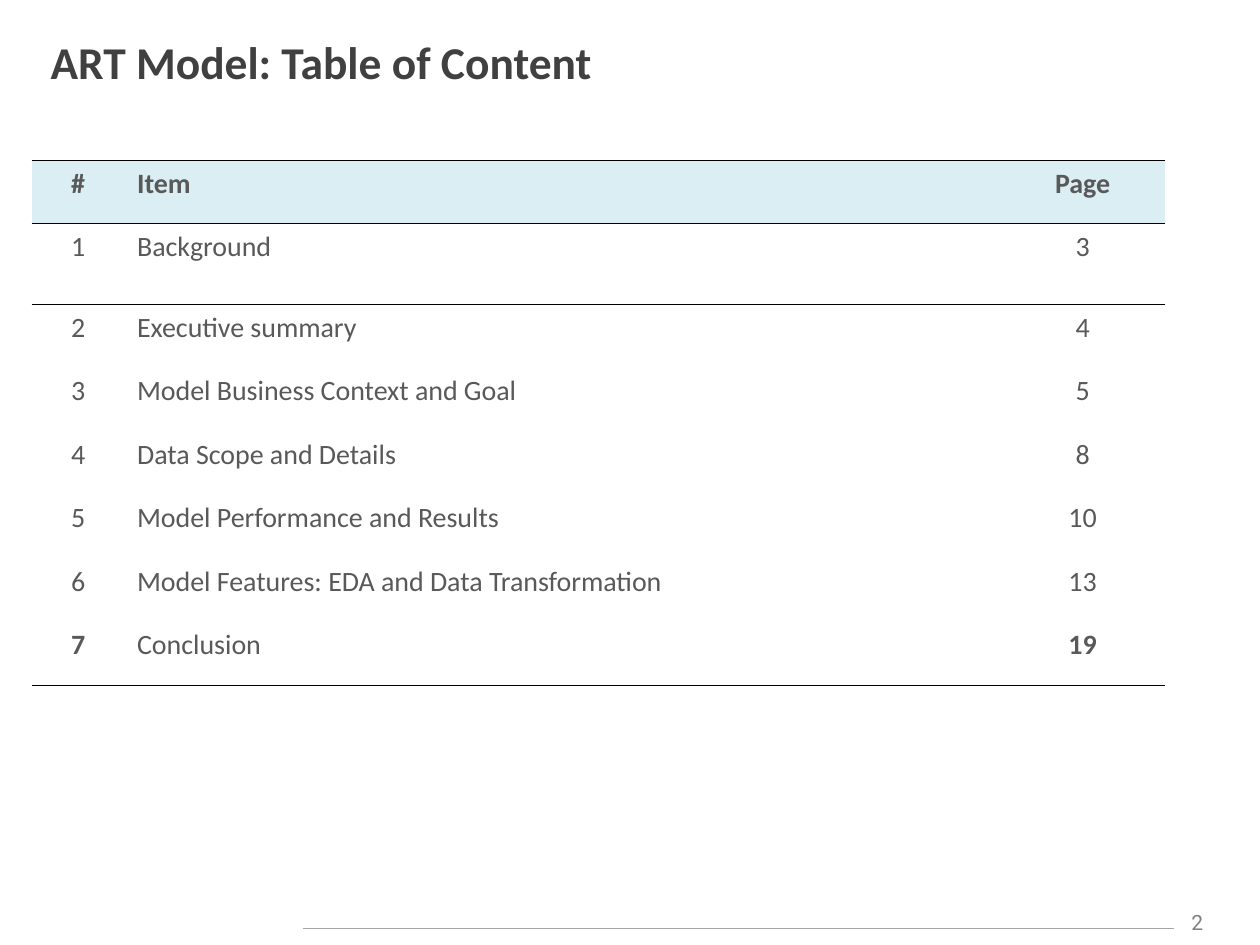
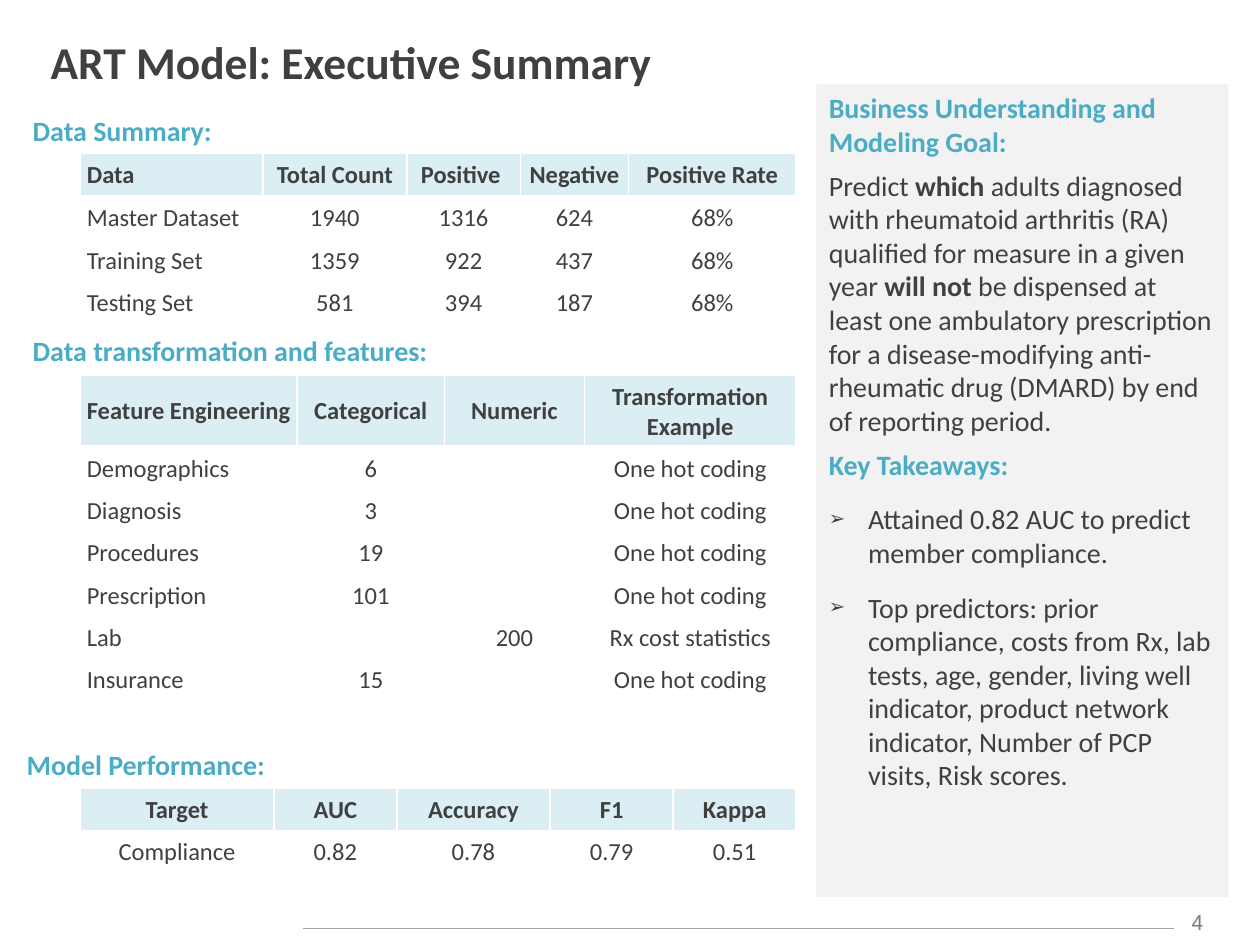
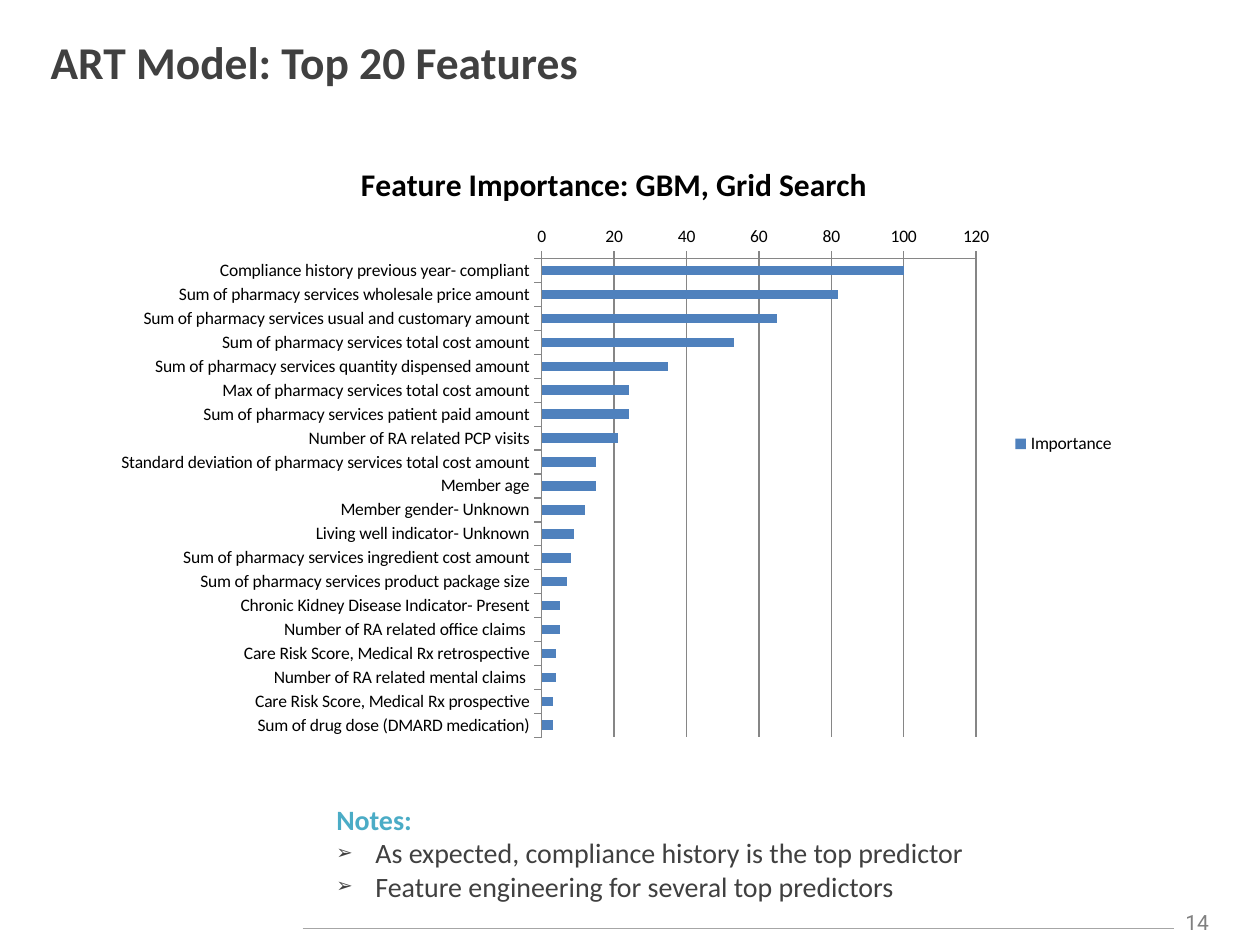
from dataclasses import dataclass

from lxml import etree
from pptx import Presentation
from pptx.chart.data import CategoryChartData
from pptx.dml.color import RGBColor
from pptx.enum.chart import XL_CHART_TYPE as ChartType, XL_LEGEND_POSITION as LegendPos
from pptx.enum.chart import XL_TICK_MARK as Tick
from pptx.enum.shapes import MSO_CONNECTOR as Connector, MSO_SHAPE as Shape
from pptx.enum.text import MSO_ANCHOR as Anchor, PP_ALIGN as Align
from pptx.oxml.ns import qn
from pptx.util import Cm, Pt


@dataclass(frozen=True)
class Theme:
    font: str = "Calibri"
    number_font: str = "Roboto"
    ink: str = "404040"
    soft_ink: str = "595959"
    accent: str = "4BACC6"
    header: str = "DBEEF4"
    panel: str = "F2F2F2"
    white: str = "FFFFFF"
    black: str = "000000"
    rule: str = "A6A6A6"
    page_number: str = "808080"
    bar: str = "4F81BD"
    axis: str = "868686"
    title_size: int = 26
    chart_title_size: int = 18
    body_size: int = 16
    cell_size: int = 14
    number_size: int = 12
    label_size: int = 10


@dataclass
class Para:
    runs: list  # (text, bold) pairs
    color: str
    before: int = 0
    bullet: bool = False


NO_STYLE = "{2D5ABB26-0587-4C30-8999-92F81FD0307C}"


def rgb(value):
    return RGBColor.from_string(value)


class Deck:
    def __init__(self, theme):
        self.t = theme
        self.prs = Presentation()
        self.prs.slide_width, self.prs.slide_height = Cm(25.4), Cm(19.05)
        self.s = None

    # Shared frame: title, footer line, page number
    def slide(self, title, number):
        t = self.t
        self.s = self.prs.slides.add_slide(self.prs.slide_layouts[6])
        self.line(6.1, 18.72, 23.67, 18.72)
        tf = self.box(23.5, 18.21, 1.27, 0.76)
        self.run(tf.paragraphs[0], str(number), t.number_size, t.page_number, font=t.number_font)
        tf.paragraphs[0].alignment = Align.CENTER
        tf = self.box(0.77, 0.35, 22.86, 1.78)
        tf.vertical_anchor = Anchor.MIDDLE
        self.run(tf.paragraphs[0], title, t.title_size, t.ink, bold=True)

    def line(self, x1, y1, x2, y2):
        ln = self.s.shapes.add_connector(Connector.STRAIGHT, Cm(x1), Cm(y1), Cm(x2), Cm(y2))
        ln.line.color.rgb = rgb(self.t.rule)
        ln.line.width = Pt(0.75)
        etree.SubElement(ln._element.spPr, qn("a:effectLst"))

    # Text
    def run(self, p, text, size, color, bold=False, font=None):
        r = p.add_run()
        r.text = text
        r.font.size, r.font.bold = Pt(size), bold
        r.font.name = font or self.t.font
        r.font.color.rgb = rgb(color)

    def box(self, x, y, w, h):
        tf = self.s.shapes.add_textbox(Cm(x), Cm(y), Cm(w), Cm(h)).text_frame
        tf.word_wrap = True
        return tf

    def heading(self, text, y, inset=0.25):
        tf = self.box(0.41, y, 16.05, 0.91)
        tf.margin_left = Cm(inset)
        self.run(tf.paragraphs[0], text, self.t.body_size, self.t.accent, bold=True)

    def bullet(self, p):
        pPr = p._p.get_or_add_pPr()
        pPr.set("marL", str(Cm(0.79)))
        pPr.set("indent", str(-Cm(0.79)))
        etree.SubElement(pPr, qn("a:buSzPct"), val="70000")
        etree.SubElement(pPr, qn("a:buFont"), typeface="Arial")
        etree.SubElement(pPr, qn("a:buChar"), char="➢")

    def panel(self, x, y, w, h, fill, paras):
        sp = self.s.shapes.add_shape(Shape.RECTANGLE, Cm(x), Cm(y), Cm(w), Cm(h))
        sp.shadow.inherit = False
        sp.fill.solid()
        sp.fill.fore_color.rgb = rgb(fill)
        sp.line.fill.background()
        tf = sp.text_frame
        tf.word_wrap, tf.vertical_anchor = True, Anchor.TOP
        for i, para in enumerate(paras):
            p = tf.add_paragraph() if i else tf.paragraphs[0]
            p.alignment, p.space_before = Align.LEFT, Pt(para.before)
            if para.bullet:
                self.bullet(p)
            for text, bold in para.runs:
                self.run(p, text, self.t.body_size, para.color, bold)

    # Tables
    def border(self, cell, sides):
        tcPr = cell._tc.get_or_add_tcPr()
        for side in "LRTB":
            if side in sides:
                color, width = sides[side]
                ln = etree.SubElement(tcPr, qn(f"a:ln{side}"), w=str(Pt(width)))
                fill = etree.SubElement(ln, qn("a:solidFill"))
                etree.SubElement(fill, qn("a:srgbClr"), val=color)

    def table(self, x, y, widths, heights, rows, borders, left_col=0, size=None,
              color=None, inset=0.13, anchor=Anchor.MIDDLE, bold_cells=()):
        size, color = size or self.t.cell_size, color or self.t.ink
        frame = self.s.shapes.add_table(len(rows), len(widths), Cm(x), Cm(y),
                                        Cm(sum(widths)), Cm(sum(heights)))
        table = frame.table
        table.first_row = table.horz_banding = False
        table._tbl.tblPr.find(qn("a:tableStyleId")).text = NO_STYLE
        for col, width in zip(table.columns, widths):
            col.width = Cm(width)
        for i, (height, values) in enumerate(zip(heights, rows)):
            table.rows[i].height = Cm(height)
            for j, value in enumerate(values):
                cell = table.cell(i, j)
                self.border(cell, borders(i))
                cell.fill.solid()
                cell.fill.fore_color.rgb = rgb(self.t.white if i else self.t.header)
                cell.vertical_anchor = anchor
                if inset is not None:
                    cell.margin_left = cell.margin_right = Cm(inset)
                    cell.margin_top = cell.margin_bottom = Cm(inset)
                p = cell.text_frame.paragraphs[0]
                p.alignment = Align.LEFT if j == left_col else Align.CENTER
                if value:
                    self.run(p, value, size, color, bold=i == 0 or (i, j) in bold_cells)
                else:
                    etree.SubElement(p._p, qn("a:endParaRPr"), sz=str(size * 100))

    # Chart
    def bar_chart(self, x, y, w, h, title, name, items):
        t = self.t
        data = CategoryChartData()
        data.categories = [label for label, _ in items]
        data.add_series(name, [value for _, value in items])
        chart = self.s.shapes.add_chart(ChartType.BAR_CLUSTERED, Cm(x), Cm(y),
                                        Cm(w), Cm(h), data).chart
        chart.font.name, chart.font.size = t.font, Pt(t.label_size)
        chart.font.color.rgb = rgb(t.black)
        chart.has_title = True
        self.run(chart.chart_title.text_frame.paragraphs[0], title,
                 t.chart_title_size, t.black, bold=True)
        chart.has_legend = True
        chart.legend.position = LegendPos.RIGHT
        chart.legend.include_in_layout = False
        plot = chart.plots[0]
        plot.vary_by_categories, plot.gap_width = False, 150
        fill = plot.series[0].format.fill
        fill.solid()
        fill.fore_color.rgb = rgb(t.bar)
        chart.category_axis.reverse_order = True
        chart.value_axis.has_major_gridlines = True
        for axis in (chart.category_axis, chart.value_axis):
            axis.major_tick_mark, axis.minor_tick_mark = Tick.OUTSIDE, Tick.NONE
            axis.format.line.color.rgb = rgb(t.axis)
        chart.value_axis.major_gridlines.format.line.color.rgb = rgb(t.axis)


CONTENTS = [
    ["#", "Item", "Page"],
    ["1", "Background", "3"],
    ["2", "Executive summary", "4"],
    ["3", "Model Business Context and Goal", "5"],
    ["4", "Data Scope and Details", "8"],
    ["5", "Model Performance and Results", "10"],
    ["6", "Model Features: EDA and Data Transformation", "13"],
    ["7", "Conclusion", "19"],
]
DATA_SUMMARY = [
    ["Data", "Total Count", "Positive ", "Negative", "Positive Rate"],
    ["Master Dataset", "1940", "1316", "624", "68%"],
    ["Training Set", "1359", "922", "437", "68%"],
    ["Testing Set", "581", "394", "187", "68%"],
]
FEATURES = [
    ["Feature Engineering", "Categorical", "Numeric", "Transformation Example"],
    ["Demographics", "6", "", "One hot coding"],
    ["Diagnosis", "3", "", "One hot coding"],
    ["Procedures", "19", "", "One hot coding"],
    ["Prescription", "101", "", "One hot coding"],
    ["Lab", "", "200", "Rx cost statistics"],
    ["Insurance", "15", "", "One hot coding"],
    ["", "", "", ""],
]
PERFORMANCE = [
    ["Target", "AUC", "Accuracy", "F1", "Kappa"],
    ["Compliance", "0.82", "0.78", "0.79", "0.51"],
]
IMPORTANCE = [
    ("Compliance history previous year- compliant", 100),
    ("Sum of pharmacy services wholesale price amount", 82),
    ("Sum of pharmacy services usual and customary amount", 65),
    ("Sum of pharmacy services total cost amount", 53),
    ("Sum of pharmacy services quantity dispensed amount", 35),
    ("Max of pharmacy services total cost amount", 24),
    ("Sum of pharmacy services patient paid amount", 24),
    ("Number of RA related PCP visits", 21),
    ("Standard deviation of pharmacy services total cost amount", 15),
    ("Member age", 15),
    ("Member gender- Unknown", 12),
    ("Living well indicator- Unknown", 9),
    ("Sum of pharmacy services ingredient cost amount", 8),
    ("Sum of pharmacy services product package size", 7),
    ("Chronic Kidney Disease Indicator- Present", 5),
    ("Number of RA related office claims ", 5),
    ("Care Risk Score, Medical Rx retrospective", 4),
    ("Number of RA related mental claims ", 4),
    ("Care Risk Score, Medical Rx prospective", 3),
    ("Sum of drug dose (DMARD medication)", 3),
]


def contents_slide(deck):
    t = deck.t
    last = len(CONTENTS) - 1
    edge = (t.black, 0.5)

    def borders(row):
        sides = {"T": edge} if row < 2 else {}
        return {**sides, "B": edge} if row in (0, 1, last) else sides

    deck.slide("ART Model: Table of Content", 2)
    deck.table(0.64, 3.23, [1.87, 17.65, 3.33], [1.27, 1.63] + [1.28] * 6, CONTENTS, borders,
               left_col=1, size=t.body_size, color=t.soft_ink, inset=None,
               anchor=Anchor.TOP, bold_cells={(last, 0), (last, 2)})


def summary_slide(deck):
    t = deck.t

    def thin(row):
        return dict.fromkeys("LRTB", (t.white, 1))

    def thick_header(row):
        return {**thin(row), "B": (t.white, 1 if row else 3)}

    deck.slide("ART Model: Executive Summary", 4)

    # Goal and takeaways
    deck.panel(16.46, 1.7, 8.31, 16.38, t.panel, [
        Para([("Business Understanding and Modeling Goal:", True)], t.accent, 6),
        Para([("Predict ", False), ("which ", True),
              ("adults diagnosed with rheumatoid arthritis (RA) qualified for measure "
               "in a given year ", False),
              ("will not ", True),
              ("be dispensed at least one ambulatory prescription for a disease-modifying "
               "anti-rheumatic drug (DMARD) by end of reporting period.", False)], t.ink, 6),
        Para([("Key Takeaways:", True)], t.accent, 6),
        Para([("Attained 0.82 AUC to predict member compliance.", False)], t.ink, 12, True),
        Para([("Top predictors: prior compliance, costs from Rx, lab tests, age, gender, "
               "living well indicator, product network indicator, Number of PCP visits, "
               "Risk scores.", False)], t.ink, 12, True),
    ])

    # Headed tables
    x, row = 1.62, 0.85
    deck.heading("Data Summary:", 2.16)
    deck.table(x, 3.08, [3.68, 2.9, 2.29, 2.18, 3.38], [0.89] + [row] * 3,
               DATA_SUMMARY, thick_header)
    deck.heading("Data transformation and features:", 6.6)
    deck.table(x, 7.57, [4.37, 2.97, 2.82, 4.27], [1.44] + [row] * 7,
               FEATURES, thick_header)
    deck.heading("Model Performance:", 14.94, inset=0.13)
    deck.table(x, 15.89, [3.9, 2.48, 3.09, 2.48, 2.48], [row] * 2,
               PERFORMANCE, thin, left_col=None)


def features_slide(deck):
    t = deck.t
    deck.slide("ART Model: Top 20 Features", 14)
    deck.panel(6.53, 16.05, 14.22, 2.16, t.white, [
        Para([("Notes:", True)], t.accent),
        Para([("As expected, compliance history is the top predictor", False)], t.ink, bullet=True),
        Para([("Feature engineering for several top predictors", False)], t.ink, bullet=True),
    ])
    deck.bar_chart(2.03, 2.79, 20.7, 12.32, "Feature Importance: GBM, Grid Search",
                   "Importance", IMPORTANCE)


def main():
    deck = Deck(Theme())
    contents_slide(deck)
    summary_slide(deck)
    features_slide(deck)
    deck.prs.save("out.pptx")


if __name__ == "__main__":
    main()
